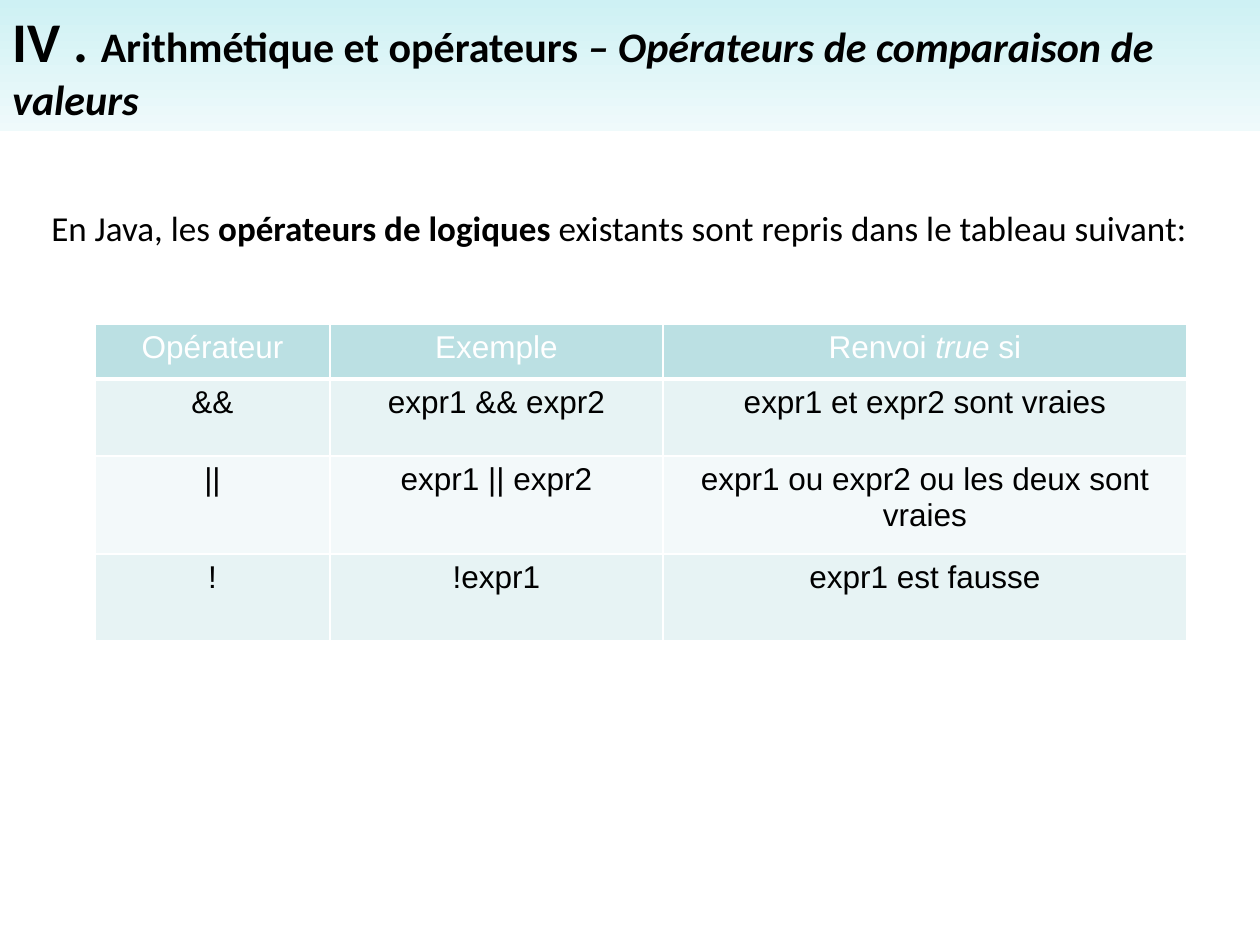
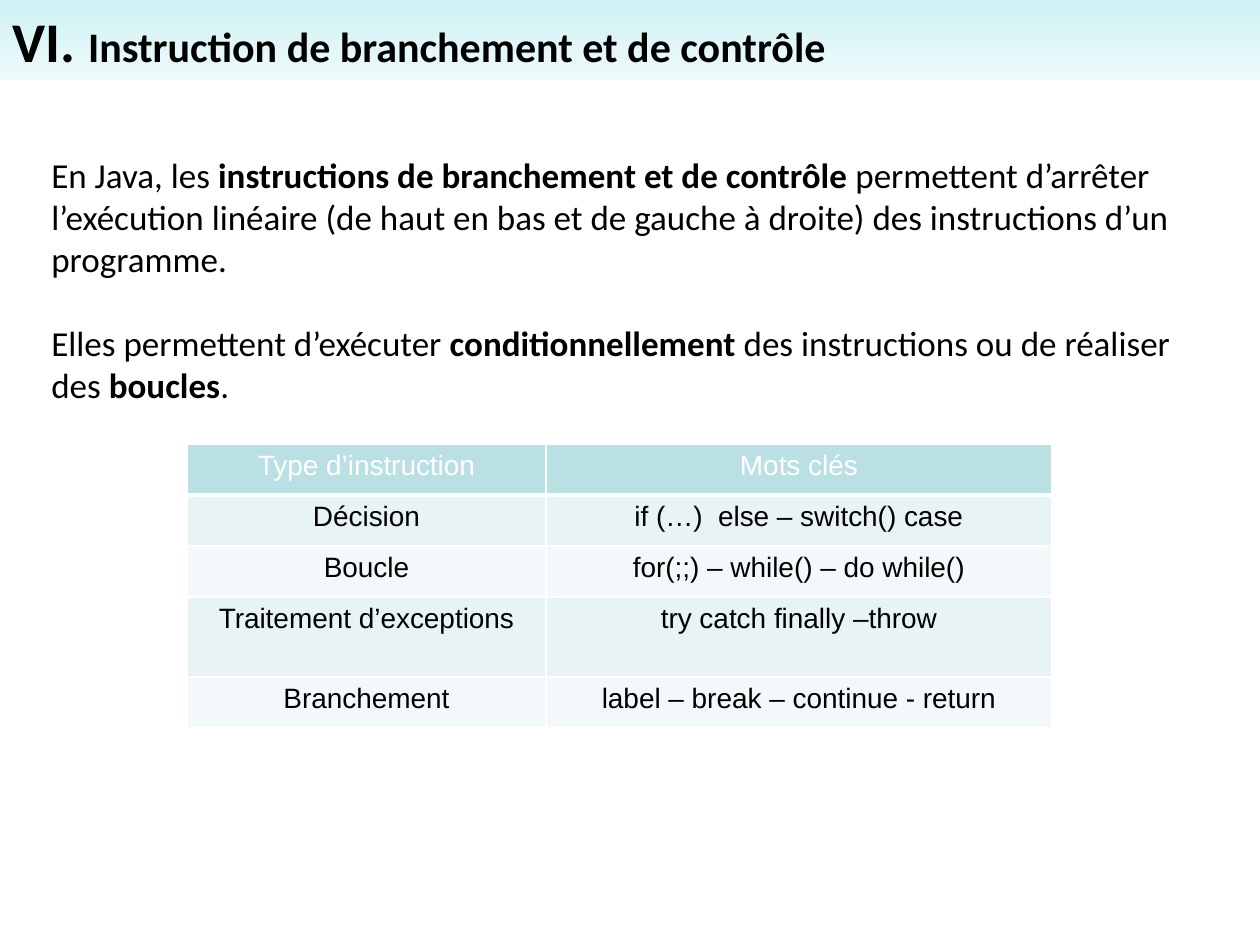
from lxml.etree import SubElement
from pptx import Presentation
from pptx.dml.color import RGBColor
from pptx.enum.shapes import MSO_SHAPE as Shape
from pptx.enum.text import MSO_ANCHOR as Anchor, PP_ALIGN as Align
from pptx.oxml.ns import qn
from pptx.util import Emu, Pt

PX_PER_INCH = 126
SLIDE_WIDTH, SLIDE_HEIGHT = 1260, 945
COLORS = {
    "band_top": "CEF1F4",
    "band_bottom": "EFFAFB",
    "header": "BBE0E3",
    "odd_row": "E7F3F4",
    "even_row": "F3F9FA",
    "white": "FFFFFF",
    "black": "000000",
}
BOLD = {"bold": True}
ITALIC = {"italic": True}
CHAPTER = {"size": Pt(32), "bold": True}
HEADING = {"size": Pt(24), "bold": True}
BODY = {"size": Pt(20), "name": "Calibri"}


def px(length):
    return Emu(round(length * 914400 / PX_PER_INCH))


def rgb(color):
    return RGBColor.from_string(COLORS[color])


def write(paragraph, parts, base, color="black"):
    """Fill a paragraph with plain strings or (text, format) pairs."""
    for part in parts:
        text, extra = (part, {}) if isinstance(part, str) else part
        run = paragraph.add_run()
        run.text = text
        for attribute, value in {**base, **extra}.items():
            setattr(run.font, attribute, value)
        run.font.color.rgb = rgb(color)


def add_title_band(slide, height, chapter, heading):
    band = slide.shapes.add_shape(Shape.RECTANGLE, 0, 0, px(SLIDE_WIDTH), px(height))
    band.shadow.inherit = False
    band.line.fill.background()
    band.fill.gradient()
    band.fill.gradient_angle = 270
    for stop, color in zip(band.fill.gradient_stops, ("band_top", "band_bottom")):
        stop.color.rgb = rgb(color)
    frame = band.text_frame
    frame.word_wrap = True
    frame.vertical_anchor = Anchor.TOP
    title = frame.paragraphs[0]
    title.alignment = Align.LEFT
    write(title, [(chapter, CHAPTER), *heading], {**HEADING, "name": "Calibri"})


def add_intro(slide, top, height, paragraphs):
    box = slide.shapes.add_textbox(px(39), px(top), px(1172), px(height))
    frame = box.text_frame
    frame.word_wrap = True
    for index, parts in enumerate(paragraphs):
        paragraph = frame.add_paragraph() if index else frame.paragraphs[0]
        if index:
            paragraph.space_before = Pt(24)
        write(paragraph, parts, BODY)


def set_borders(cell, bottom_width):
    properties = cell._tc.get_or_add_tcPr()
    widths = {"lnL": 1, "lnR": 1, "lnT": 1, "lnB": bottom_width}
    for side, width in widths.items():
        line = SubElement(properties, qn(f"a:{side}"), w=str(Pt(width)))
        fill = SubElement(line, qn("a:solidFill"))
        SubElement(fill, qn("a:srgbClr"), val=COLORS["white"])


def add_operator_table(slide, left, top, widths, heights, size, rows):
    """Add a centred table with a header row; each cell is a list of text parts."""
    table = slide.shapes.add_table(
        len(heights), len(widths), px(left), px(top), px(sum(widths)), px(sum(heights))
    ).table
    table.horz_banding = False
    for column, width in zip(table.columns, widths):
        column.width = px(width)
    for row, height in zip(table.rows, heights):
        row.height = px(height)
    base = {"size": Pt(size), "name": "Arial", "bold": False}
    for row_index, row in enumerate(rows):
        is_header = row_index == 0
        row_fill = "header" if is_header else ("even_row", "odd_row")[row_index % 2]
        for column_index, parts in enumerate(row):
            cell = table.cell(row_index, column_index)
            set_borders(cell, 3 if is_header else 1)
            cell.fill.solid()
            cell.fill.fore_color.rgb = rgb(row_fill)
            paragraph = cell.text_frame.paragraphs[0]
            paragraph.alignment = Align.CENTER
            write(paragraph, parts, base, "white" if is_header else "black")


def build_logic_operators(slide):
    add_title_band(slide, 131, "IV . ", [
        "Arithmétique et opérateurs ",
        ("– Opérateurs de comparaison de valeurs", ITALIC),
    ])
    add_intro(slide, 200, 55, [[
        "En Java, les ",
        ("opérateurs de logiques ", BOLD),
        "existants sont repris dans le tableau suivant:",
    ]])
    add_operator_table(slide, 95, 324, [235, 333, 524], [55, 77, 98, 87], 18, [
        [["Opérateur"], ["Exemple"], ["Renvoi ", ("true", ITALIC), " si"]],
        [["&&"], ["expr1 && expr2"], ["expr1 et expr2 sont vraies"]],
        [["||"], ["expr1 || expr2"], ["expr1 ou expr2 ou les deux sont vraies"]],
        [["!"], ["!expr1"], ["expr1 est fausse"]],
    ])


def build_control_statements(slide):
    add_title_band(slide, 80, "VI. ", ["Instruction de branchement et de contrôle"])
    add_intro(slide, 147, 267, [
        [
            "En Java, les ",
            ("instructions de branchement et de contrôle ", BOLD),
            "permettent d’arrêter l’exécution linéaire (de haut en bas et de gauche "
            "à droite) des instructions d’un programme.",
        ],
        [
            "Elles permettent d’exécuter ",
            ("conditionnellement", BOLD),
            " des instructions ou de réaliser des ",
            ("boucles", BOLD),
            ".",
        ],
    ])
    add_operator_table(slide, 187, 444, [359, 506], [51, 51, 51, 80, 51], 16, [
        [["Type d’instruction"], ["Mots clés"]],
        [["Décision"], ["if (…)  else – switch() case"]],
        [["Boucle"], ["for(;;) – while() – do while()"]],
        [["Traitement d’exceptions"], ["try catch finally –throw"]],
        [["Branchement"], ["label – break – continue - return"]],
    ])


def main():
    deck = Presentation()
    deck.slide_width, deck.slide_height = px(SLIDE_WIDTH), px(SLIDE_HEIGHT)
    blank = deck.slide_layouts[6]
    for build in (build_logic_operators, build_control_statements):
        build(deck.slides.add_slide(blank))
    deck.save("out.pptx")


if __name__ == "__main__":
    main()
